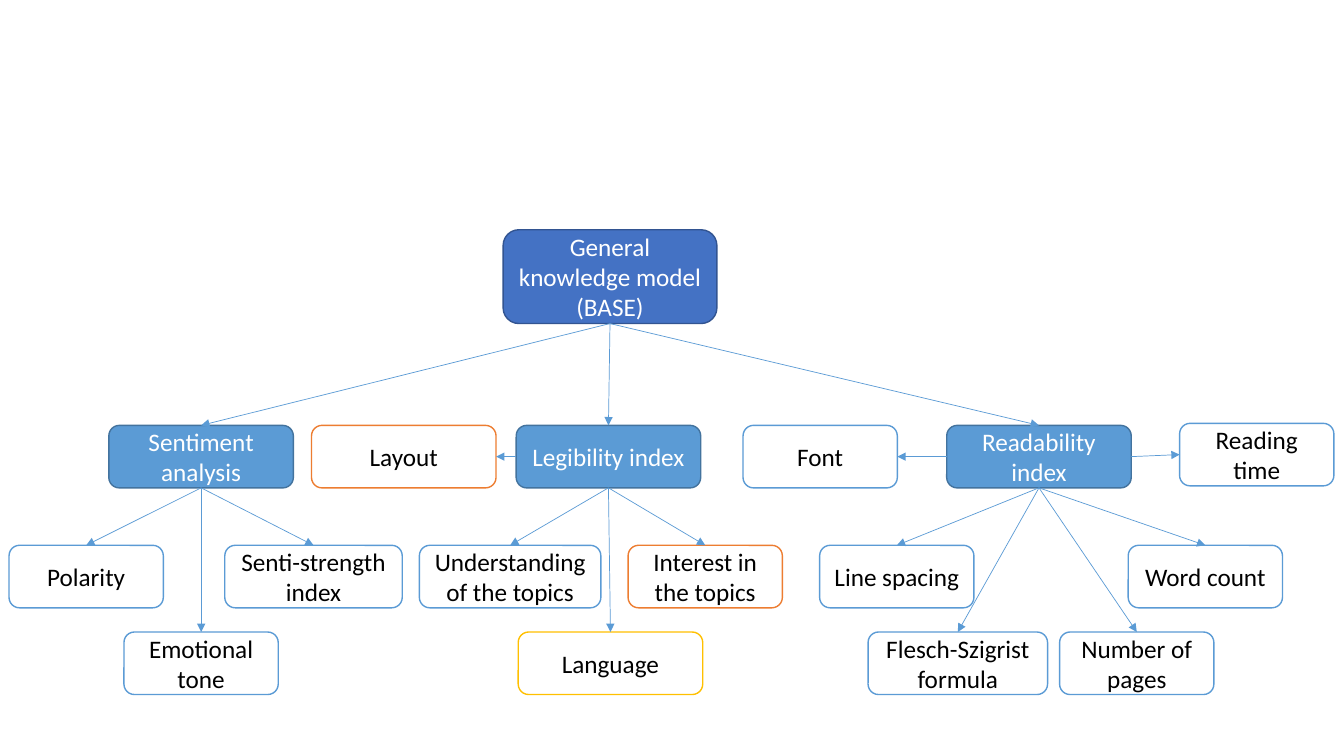
from lxml import etree
from pptx import Presentation
from pptx.dml.color import RGBColor
from pptx.enum.shapes import MSO_CONNECTOR, MSO_SHAPE
from pptx.enum.text import MSO_ANCHOR, PP_ALIGN
from pptx.oxml.ns import qn
from pptx.util import Inches, Pt

ROUND = MSO_SHAPE.ROUNDED_RECTANGLE
STRAIGHT = MSO_CONNECTOR.STRAIGHT
MIDDLE = MSO_ANCHOR.MIDDLE
CENTER = PP_ALIGN.CENTER

WHITE = RGBColor(0xFF, 0xFF, 0xFF)
BLACK = RGBColor(0, 0, 0)
ROYAL = RGBColor(0x44, 0x72, 0xC4)
NAVY = RGBColor(0x32, 0x54, 0x91)
BLUE = RGBColor(0x5B, 0x9B, 0xD5)
STEEL = RGBColor(0x43, 0x73, 0x9E)
ORANGE = RGBColor(0xED, 0x7D, 0x31)
GOLD = RGBColor(0xFF, 0xC0, 0x00)

TOP, LEFT, BOTTOM, RIGHT = range(4)
INDEX_Y, UPPER_Y, LOWER_Y = 4.22, 5.41, 6.27


def write(frame, text, font="Calibri", size=18, color=BLACK, align=CENTER):
    """Fill a text frame, one paragraph per line of text."""
    frame.word_wrap = True
    frame.vertical_anchor = MIDDLE
    for i, line in enumerate(text.split("\n")):
        para = frame.paragraphs[0] if i == 0 else frame.add_paragraph()
        para.alignment = align
        run = para.add_run()
        run.text = line
        run.font.name = font
        run.font.size = Pt(size)
        run.font.color.rgb = color


class Tree:
    """Draws the nodes and arrows of a tree on one slide."""

    def __init__(self, slide):
        self.shapes = slide.shapes

    def node(self, text, x, y, w=1.53, h=0.62, fill=WHITE, edge=BLUE, ink=BLACK):
        """Add a rounded box with centred text."""
        box = self.shapes.add_shape(ROUND, Inches(x), Inches(y), Inches(w), Inches(h))
        box.shadow.inherit = False
        box.fill.solid()
        box.fill.fore_color.rgb = fill
        box.line.color.rgb = edge
        box.line.width = Pt(1)
        write(box.text_frame, text, color=ink)
        return box

    def arrow(self, start, end, out=BOTTOM, into=TOP):
        """Join two boxes with a thin arrow."""
        link = self.shapes.add_connector(STRAIGHT, 0, 0, 0, 0)
        link.begin_connect(start, out)
        link.end_connect(end, into)
        link.line.color.rgb = BLUE
        link.line.width = Pt(0.5)
        props = link._element.spPr
        etree.SubElement(props.find(qn("a:ln")), qn("a:tailEnd"), type="triangle")
        etree.SubElement(props, qn("a:effectLst"))


def main():
    """Build the knowledge model slide."""
    deck = Presentation()
    deck.slide_width, deck.slide_height = Inches(13.33), Inches(7.5)
    tree = Tree(deck.slides.add_slide(deck.slide_layouts[6]))

    base = tree.node("General knowledge model\n(BASE)", 4.99, 2.28, 2.12, 0.93,
                     fill=ROYAL, edge=NAVY, ink=WHITE)
    names = [("Sentiment analysis", 1.08), ("Legibility index", 5.12),
             ("Readability index", 9.39)]
    mood, legible, readable = heads = [
        tree.node(text, x, INDEX_Y, 1.83, fill=BLUE, edge=STEEL, ink=WHITE)
        for text, x in names]

    below = [
        (mood, "Polarity", 0.09, UPPER_Y, 1.53, BLUE),
        (mood, "Emotional tone", 1.23, LOWER_Y, 1.53, BLUE),
        (mood, "Senti-strength index", 2.23, UPPER_Y, 1.76, BLUE),
        (legible, "Understanding of the topics", 4.16, UPPER_Y, 1.8, BLUE),
        (legible, "Language", 5.14, LOWER_Y, 1.83, GOLD),
        (legible, "Interest in the topics", 6.23, UPPER_Y, 1.53, ORANGE),
        (readable, "Line spacing", 8.13, UPPER_Y, 1.53, BLUE),
        (readable, "Flesch-Szigrist formula", 8.61, LOWER_Y, 1.78, BLUE),
        (readable, "Number of pages", 10.51, LOWER_Y, 1.53, BLUE),
        (readable, "Word count", 11.19, UPPER_Y, 1.53, BLUE),
    ]
    leaves = [(head, tree.node(text, x, y, w, edge=edge))
              for head, text, x, y, w, edge in below]
    layout = tree.node("Layout", 3.09, INDEX_Y, 1.83, edge=ORANGE)
    font = tree.node("Font", 7.37, INDEX_Y)
    time = tree.node("Reading time", 11.7, 4.2)

    for head in heads:
        tree.arrow(base, head)
    for head, leaf in leaves:
        tree.arrow(head, leaf)
    tree.arrow(legible, layout, LEFT, RIGHT)
    tree.arrow(readable, font, LEFT, RIGHT)
    tree.arrow(readable, time, RIGHT, LEFT)

    deck.save("out.pptx")


if __name__ == "__main__":
    main()
